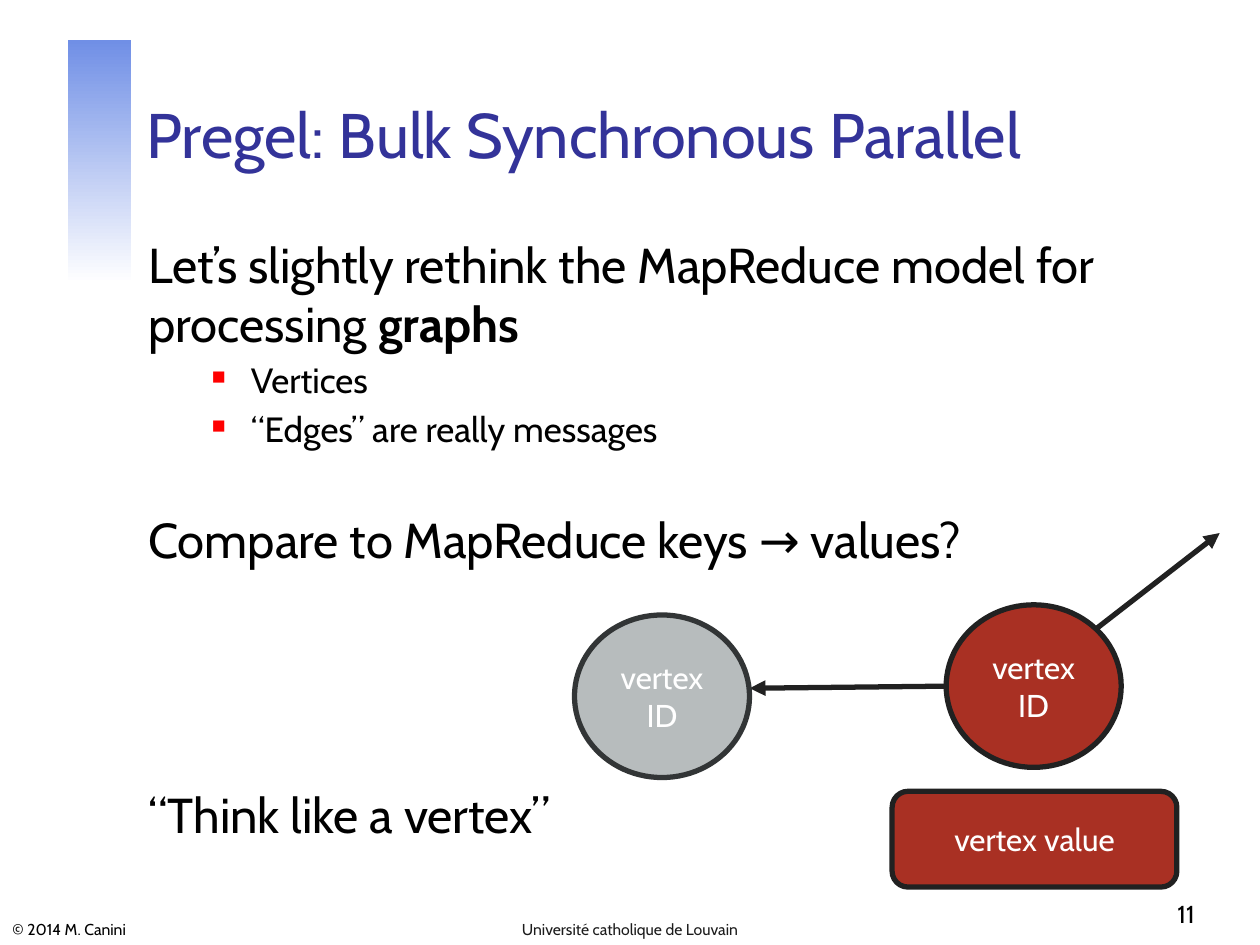
import pptx
import pptx.dml.color
import pptx.enum.shapes
import pptx.enum.text
import pptx.oxml.ns
import pptx.util
from lxml import etree

Pt = pptx.util.Pt
Align = pptx.enum.text.PP_ALIGN
Anchor = pptx.enum.text.MSO_ANCHOR
Shape = pptx.enum.shapes.MSO_SHAPE

RED, GREY, DARK = "A93023", "B7BCBD", "212121"


def color(value):
    return pptx.dml.color.RGBColor.from_string(value)


def add_xml(parent, tag, **attributes):
    return etree.SubElement(parent, pptx.oxml.ns.qn(tag), attributes)


class SlideBuilder:
    font = "Cabin"
    line_width = 3

    def __init__(self, page):
        self.page = page

    def style(self, para, size, hex_color, align=Align.LEFT):
        para.alignment = align
        para.font.name = self.font
        para.font.size = Pt(size)
        para.font.color.rgb = color(hex_color)

    def place(self, box, left, top, width, height):
        box.left, box.top = Pt(left), Pt(top)
        box.width, box.height = Pt(width), Pt(height)

    def title(self, text, bounds, size, hex_color):
        box = self.page.shapes.title
        self.place(box, *bounds)
        frame = box.text_frame
        frame.text = text
        frame.auto_size = pptx.enum.text.MSO_AUTO_SIZE.NONE
        frame.vertical_anchor = Anchor.BOTTOM
        self.style(frame.paragraphs[0], size, hex_color)

    def text_box(self, bounds, anchor=Anchor.TOP):
        frame = self.page.shapes.add_textbox(*map(Pt, bounds)).text_frame
        frame.word_wrap = True
        frame.vertical_anchor = anchor
        return frame

    def label(self, text, bounds, size, hex_color, align):
        """Add a one-line text that sits at the bottom of its box."""
        frame = self.text_box(bounds, Anchor.BOTTOM)
        frame.text = text
        self.style(frame.paragraphs[0], size, hex_color, align)

    def paragraph(self, para, spans, size, space_before, bullet=False):
        """Fill a paragraph from (text, bold) spans."""
        for text, bold in spans:
            span = para.add_run()
            span.text = text
            if bold:
                span.font.bold = True
        self.style(para, size, "000000")
        para.space_before = Pt(space_before)
        if bullet:
            self.bullet(para)

    def bullet(self, para):
        properties = para._p.get_or_add_pPr()
        properties.set("marL", str(Pt(58.5)))
        properties.set("indent", str(Pt(-22.5)))
        bullet_color = add_xml(properties, "a:buClr")
        add_xml(bullet_color, "a:srgbClr", val="FF0000")
        add_xml(properties, "a:buSzPct", val="55000")
        add_xml(properties, "a:buChar", char="■")

    def gradient_bar(self, bounds, first, last):
        bar = self.page.shapes.add_shape(Shape.RECTANGLE, *map(Pt, bounds))
        bar.shadow.inherit = False
        bar.line.fill.background()
        bar.fill.gradient()
        bar.fill.gradient_angle = 270
        for stop, position, value in zip(bar.fill.gradient_stops, (0, 1), (first, last)):
            stop.position = position
            stop.color.rgb = color(value)

    def node(self, kind, text, bounds, fill, line=DARK):
        shape = self.page.shapes.add_shape(kind, *map(Pt, bounds))
        shape.shadow.inherit = False
        shape.fill.solid()
        shape.fill.fore_color.rgb = color(fill)
        shape.line.color.rgb = color(line)
        shape.line.width = Pt(self.line_width)
        frame = shape.text_frame
        frame.text = text
        frame.vertical_anchor = Anchor.MIDDLE
        self.style(frame.paragraphs[0], 18, "FFFFFF", Align.CENTER)

    def arrow(self, start, end):
        connector = self.page.shapes.add_connector(
            pptx.enum.shapes.MSO_CONNECTOR.STRAIGHT, *map(Pt, start + end))
        connector.line.color.rgb = color(DARK)
        connector.line.width = Pt(self.line_width)
        add_xml(connector.line._get_or_add_ln(), "a:tailEnd", type="triangle")
        add_xml(connector._element.spPr, "a:effectLst")


def main():
    deck = pptx.Presentation()
    deck.slide_width, deck.slide_height = Pt(720), Pt(540)
    page = deck.slides.add_slide(deck.slide_layouts.get_by_name("Title Only"))
    builder = SlideBuilder(page)

    builder.gradient_bar((39, 23, 36, 139), "708FE6", "FFFFFF")
    builder.title("Pregel: Bulk Synchronous Parallel", (76.3, 23.8, 613.4, 77.8), 36, "333399")

    content = [
        ([("Let’s slightly rethink the MapReduce model for processing ", False),
          ("graphs", True)], 28, 5.6, False),
        ([("Vertices", False)], 20, 4, True),
        ([("“Edges” are really messages", False)], 20, 4, True),
        ([("Compare to MapReduce keys → values?", False)], 28, 34, False),
        ([("“Think like a vertex”", False)], 28, 123.5, False),
    ]
    body = builder.text_box((77.8, 130.3, 612, 357))
    for index, item in enumerate(content):
        para = body.add_paragraph() if index else body.paragraphs[0]
        builder.paragraph(para, *item)

    circle = (100, 92.9)
    builder.node(Shape.OVAL, "vertex\vID", (540.7, 345.6) + circle, RED)
    builder.node(Shape.ROUNDED_RECTANGLE, "vertex value", (509.8, 452.2, 162.7, 54.7), RED)
    builder.arrow((626.4, 359.3), (697, 304.6))
    builder.arrow((540.7, 392.1), (428.4, 393.3))
    builder.node(Shape.OVAL, "vertex\vID", (328.3, 351.4) + circle, GREY, "323536")

    builder.label("© 2014 M. Canini", (0, 519.8, 217.4, 20.2), 9, "000000", Align.LEFT)
    builder.label("Université catholique de Louvain", (246.2, 519.8, 227.5, 20.2),
                  9, "1C1C1C", Align.CENTER)
    builder.label("11", (540, 498.2, 149.8, 36), 14, "000000", Align.RIGHT)

    deck.save("out.pptx")


if __name__ == "__main__":
    main()
